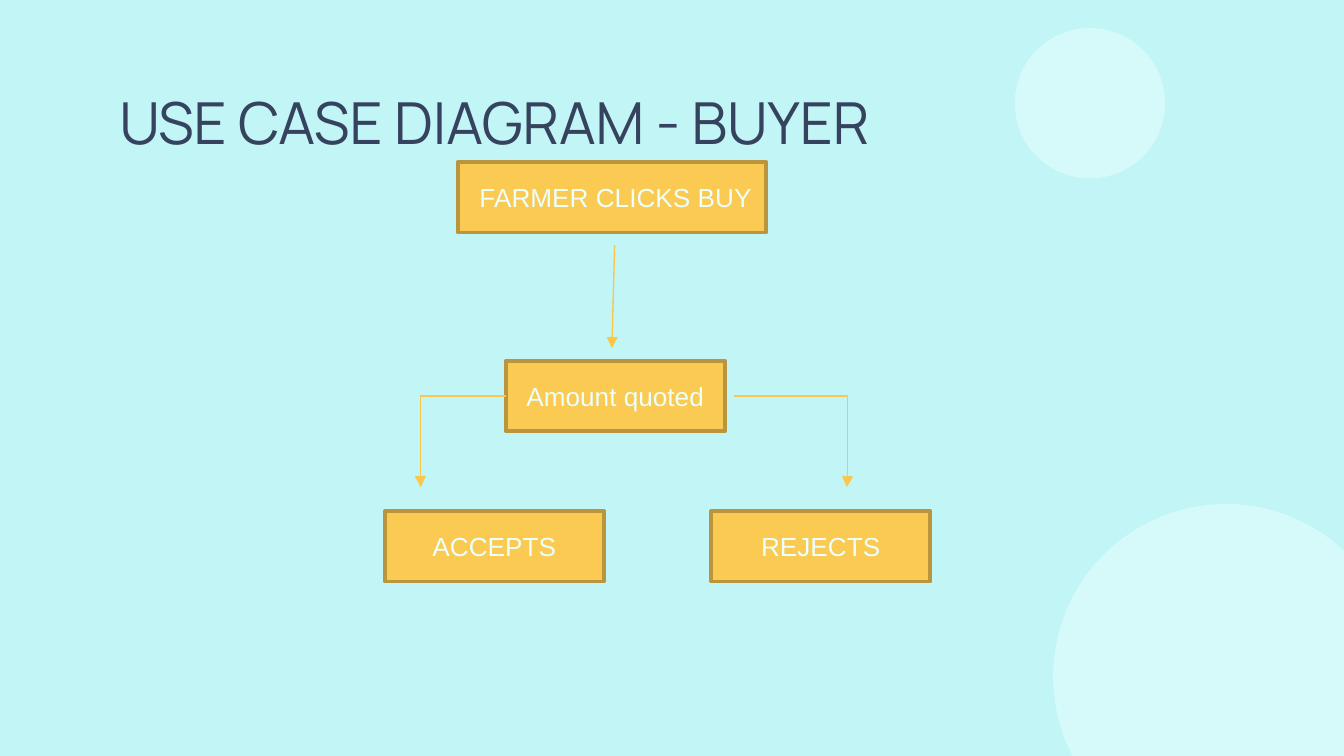
from lxml import etree
from pptx import Presentation
from pptx.dml.color import RGBColor
from pptx.enum.shapes import MSO_CONNECTOR as LINK, MSO_SHAPE as SHAPE
from pptx.enum.text import MSO_ANCHOR as ANCHOR, PP_ALIGN as ALIGN
from pptx.oxml.ns import qn
from pptx.util import Pt

PALE, GOLD, ARROW, BROWN, NAVY = "EBFFFD", "FACA52", "F9C74C", "B9953D", "36435E"


def paint(color_format, hex_color):
    color_format.solid()
    color_format.fore_color.rgb = RGBColor.from_string(hex_color)


def write(frame, text, size=14, font="Arial", color=PALE, align=ALIGN.CENTER):
    frame.word_wrap = True
    frame.vertical_anchor = ANCHOR.MIDDLE
    paragraph = frame.paragraphs[0]
    paragraph.alignment = align
    run = paragraph.add_run()
    run.text = text
    run.font.size = Pt(size)
    run.font.name = font
    paint(run.font.fill, color)


deck = Presentation()
deck.slide_width, deck.slide_height = Pt(720), Pt(405)
slide = deck.slides.add_slide(deck.slide_layouts[5])
shapes = slide.shapes
paint(slide.background.fill, "C2F5F5")

# Half-transparent background circles
for left, top, diameter in [(543.6, 15, 80.6), (564.2, 270, 185)]:
    circle = shapes.add_shape(SHAPE.OVAL, Pt(left), Pt(top), Pt(diameter), Pt(diameter))
    circle.shadow.inherit = False
    circle.line.fill.background()
    paint(circle.fill, PALE)
    fill_color = circle.fill._xPr.find(qn("a:solidFill"))[0]
    etree.SubElement(fill_color, qn("a:alpha"), val="50000")

# Title
title = shapes.title
title.left, title.top, title.width, title.height = Pt(56.7), Pt(42.5), Pt(607), Pt(45)
frame = title.text_frame
frame.margin_left = frame.margin_right = frame.margin_top = frame.margin_bottom = Pt(7.2)
write(frame, "USE CASE DIAGRAM - BUYER", size=31, font="Manrope", color=NAVY, align=ALIGN.LEFT)

# Steps of the flow
steps = [
    (" FARMER CLICKS BUY", 245.3, 86.8, 165.2),
    ("Amount quoted", 270.9, 193.3, 117.4),
    ("REJECTS", 381, 273.7, 117.4),
    ("ACCEPTS", 206.1, 273.7, 117.4),
]
for label, left, top, width in steps:
    step = shapes.add_shape(SHAPE.RECTANGLE, Pt(left), Pt(top), Pt(width), Pt(37.8))
    step.shadow.inherit = False
    paint(step.fill, GOLD)
    paint(step.line.fill, BROWN)
    step.line.width = Pt(2)
    write(step.text_frame, label)

# Arrows between the steps
arrows = [
    (LINK.STRAIGHT, 329.3, 131.3, 327.8, 186.5),
    (LINK.ELBOW, 393.3, 212.2, 453.7, 261),
    (LINK.ELBOW, 270.9, 212.2, 225.5, 261),
]
for kind, *ends in arrows:
    arrow = shapes.add_connector(kind, *map(Pt, ends))
    paint(arrow.line.fill, ARROW)
    arrow.line.width = Pt(0.75)
    properties = arrow._element.spPr
    etree.SubElement(properties.find(qn("a:ln")), qn("a:tailEnd"), type="triangle")
    etree.SubElement(properties, qn("a:effectLst"))
    if kind == LINK.ELBOW:  # turn down above the target step
        adjustments = properties.find(qn("a:prstGeom")).find(qn("a:avLst"))
        etree.SubElement(adjustments, qn("a:gd"), name="adj1", fmla="val 100500")

deck.save("out.pptx")
